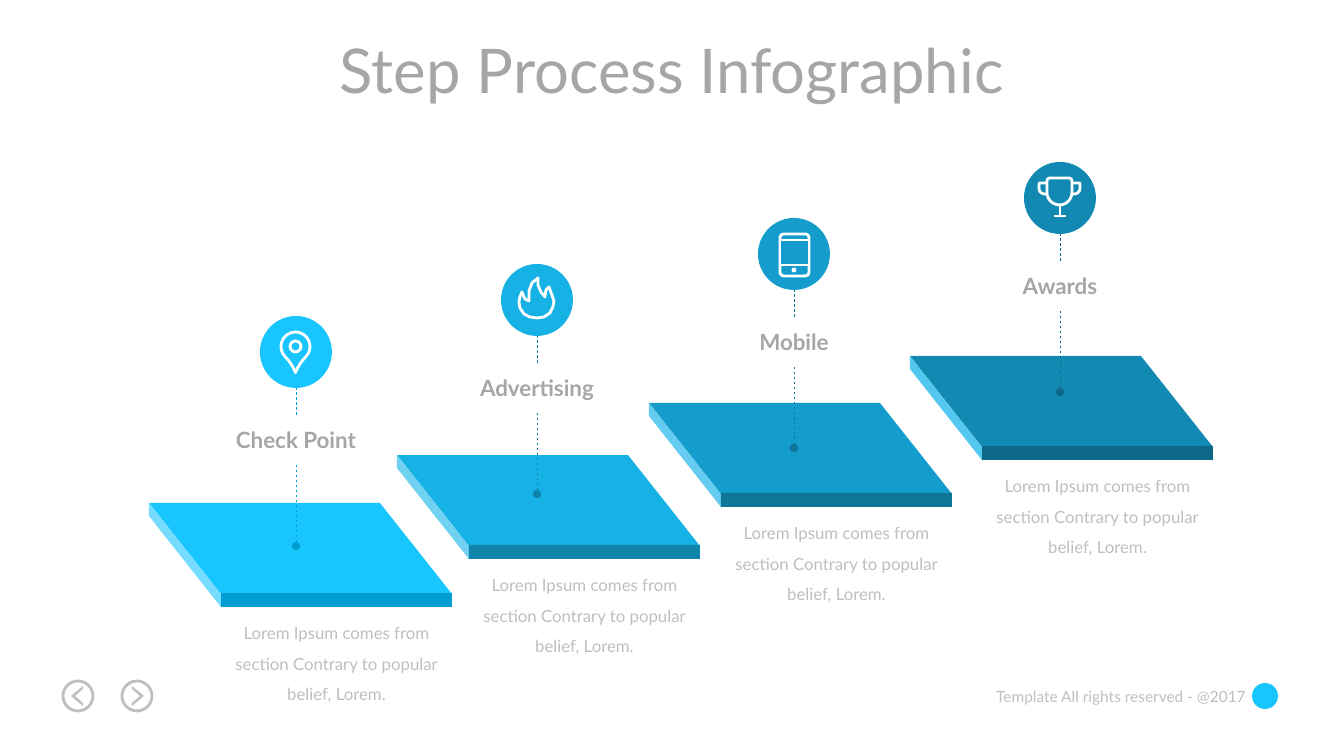
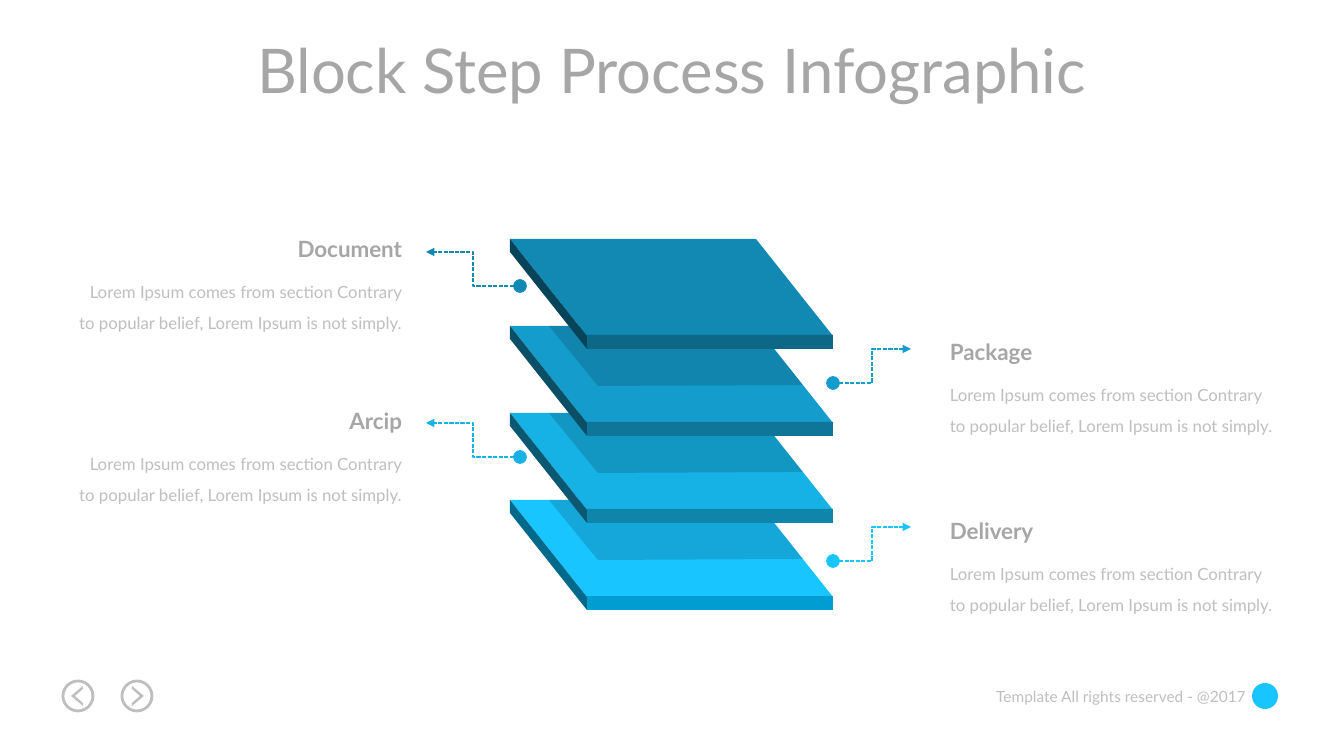
"""Builds two step-process infographic slides with a shared footer."""
from lxml import etree
from pptx import Presentation
from pptx import util as u
from pptx.dml.color import RGBColor
from pptx.enum import dml, shapes, text
from pptx.oxml.ns import qn

PX = 9071
WHITE, MUTED, ACCENT = "FFFFFF", "BFBFBF", "19C5FF"
FORM, ALIGN, DASH = shapes.MSO_SHAPE, text.PP_ALIGN, dml.MSO_LINE

TITLE = {"size": u.Pt(44), "bold": False, "color": "A6A6A6"}
HEADING = {"size": u.Pt(16), "bold": True, "color": "A6A6A6"}
BODY = {"size": u.Pt(12), "bold": False, "color": MUTED}
NOTICE = {"size": u.Pt(11), "bold": False, "color": MUTED}


def draw(page, form, x, y, fill, size=None, line=None):
    """Draws a preset of the given size, or a polygon of offsets from x, y."""
    if size:
        shape = page.shapes.add_shape(form, x * PX, y * PX, size[0] * PX, size[1] * PX)
    else:
        points = [(x + dx, y + dy) for dx, dy in form]
        builder = page.shapes.build_freeform(*points[0], scale=PX)
        builder.add_line_segments(points[1:], close=True)
        shape = builder.convert_to_shape()
    shape.shadow.inherit = False
    for part, colour in ((shape.fill, fill), (shape.line.fill, line)):
        if colour:
            part.solid()
            part.fore_color.rgb = RGBColor.from_string(colour)
        else:
            part.background()
    if line:
        shape.line.width = u.Pt(2)
    return shape


def write(page, words, x, y, width, height, style, align, spacing=None):
    """Writes one paragraph in a wrapping text box."""
    box = page.shapes.add_textbox(x * PX, y * PX, width * PX, height * PX)
    box.text_frame.word_wrap = True
    para = box.text_frame.paragraphs[0]
    para.alignment, para.line_spacing = align, spacing
    span = para.add_run()
    span.text = words
    span.font.name = "Lato"
    for name, value in style.items():
        if name == "color":
            span.font.color.rgb = RGBColor.from_string(value)
        else:
            setattr(span.font, name, value)
    return box


deck = Presentation()
deck.slide_width, deck.slide_height = 1344 * PX, 756 * PX
blank = deck.slide_layouts[6]
for holder in list(blank.placeholders):
    holder.element.getparent().remove(holder.element)
steps_page, blocks_page = [deck.slides.add_slide(blank) for _ in range(2)]

footer = [
    draw(steps_page, FORM.OVAL, 1252, 683, ACCENT, (26, 26)),
    write(steps_page, "Template All rights reserved - @2017", 972, 682, 284, 29, NOTICE, ALIGN.RIGHT),
]
CHEVRON = [(5, -7), (-3, 0), (5, 7), (5, 10), (-7, 0), (5, -10)]
for centre, side in ((78, 1), (137, -1)):
    arrow = [(side * dx, dy) for dx, dy in CHEVRON]
    footer += [
        draw(steps_page, FORM.OVAL, centre - 15, 681, None, (30, 30), MUTED),
        draw(steps_page, arrow, centre, 696, MUTED),
    ]
for shape in footer:
    blank.shapes.element.append(shape.element)

for page, title in ((steps_page, "Step Process Infographic"), (blocks_page, "Block Step Process Infographic")):
    write(page, title, 172, 27, 1000, 84, TITLE, ALIGN.CENTER)

TOPS = [ACCENT, "16B1E5", "149DCC", "1189B2"]
FRONTS = ["009DD2", "1085AC", "0F7699", "0D6786"]
STEP_SIDES = ["75DCFF", "71D1F1", "63CCF0", "52C7EF"]
BLOCK_SIDES = ["00698C", "0B5872", "0A4F66", "084459"]
STEP_SPOTS = [(149, 503), (397, 455), (649, 403), (910, 356)]
BLOCK_SPOTS = [(510, 500 - 87 * level) for level in range(4)]

for page, spots, sides, width, skew, depth in (
    (steps_page, STEP_SPOTS, STEP_SIDES, 231, 72, 91),
    (blocks_page, BLOCK_SPOTS, BLOCK_SIDES, 246, 77, 97),
):
    for (x, y), top, side, front in zip(spots, TOPS, sides, FRONTS):
        draw(page, [(0, 0), (width, 0), (width + skew, depth), (skew, depth)], x, y, top)
        draw(page, [(0, 0), (0, 13), (skew, depth + 13), (skew, depth)], x, y, side)
        draw(page, FORM.RECTANGLE, x + skew, y + depth - 1, front, (width, 14))
        if page is blocks_page and y > BLOCK_SPOTS[-1][1]:
            shade = draw(page, [(39, 0), (246, 0), (293, 59), (88, 60)], x, y, "000000")
            ink = shade.element.spPr.find(qn("a:solidFill"))[0]
            etree.SubElement(ink, qn("a:alpha"), val="15000")

FLAME = [
    (37, 14), (31, 19), (28, 27), (28, 37), (24, 35), (21, 28), (19, 33), (18, 38),
    (19, 44), (23, 50), (29, 53), (36, 54), (43, 53), (49, 49), (52, 43), (53, 37),
    (51, 31), (48, 23), (45, 26), (44, 33), (40, 28), (37, 21),
]
PIN_ICON = [(FORM.TEAR, 21, 16, (29, 29), [1.27], 135), (FORM.OVAL, 30, 25, (11, 11), [], 0)]
FLAME_ICON = [(FLAME, 0, 0, None, [], 0)]
PHONE_ICON = [
    (FORM.ROUNDED_RECTANGLE, 22, 16, (29, 42), [0.13], 0),
    (FORM.RECTANGLE, 22, 22, (29, 25), [], 0),
    (FORM.OVAL, 35, 51, (2, 2), [], 0),
]
CUP_ICON = [
    (FORM.ROUND_2_SAME_RECTANGLE, 15, 21, (41, 11), [0.1, 0.5], 0),
    (FORM.ROUND_2_SAME_RECTANGLE, 23, 16, (25, 27), [0.12, 0.5], 0),
]
steps = [
    ("Check Point", 260, 316, PIN_ICON),
    ("Advertising", 501, 264, FLAME_ICON),
    ("Mobile", 758, 218, PHONE_ICON),
    ("Awards", 1024, 162, CUP_ICON),
]
STRAIGHT, ELBOW = shapes.MSO_CONNECTOR.STRAIGHT, shapes.MSO_CONNECTOR.ELBOW
DOT = {"headEnd": {"type": "oval"}}
CALLOUT = {"headEnd": {"type": "oval", "w": "lg", "len": "lg"}, "tailEnd": {"type": "triangle"}}
lines = []

for (name, x, y, icon), (tile_x, tile_y), top, front in zip(steps, STEP_SPOTS, TOPS, FRONTS):
    draw(steps_page, FORM.OVAL, x, y, top, (72, 72))
    for form, dx, dy, size, bends, turn in icon:
        glyph = draw(steps_page, form, x + dx, y + dy, top, size, WHITE)
        glyph.rotation = turn
        for index, bend in enumerate(bends):
            glyph.adjustments[index] = bend
    middle = x + 36
    for start, end, ends in ((230, 148, DOT), (99, 72, {})):
        lines.append((steps_page, STRAIGHT, (middle, y + start, middle, y + end), front, 0.5, DASH.DASH, ends))
    write(steps_page, name, middle - 80, y + 105, 160, 37, HEADING, ALIGN.CENTER)
    write(steps_page, "Lorem Ipsum comes from section Contrary to popular belief, Lorem.",
          tile_x + 72, tile_y + 105, 231, 102, BODY, ALIGN.CENTER, 1.5)

for stroke in ((1060, 205, 1060, 216), (1054, 216, 1066, 216)):
    lines.append((steps_page, STRAIGHT, stroke, WHITE, 2, None, {}))

LEFT = (66, ALIGN.RIGHT, 520, 426)
RIGHT = (940, ALIGN.LEFT, 833, 911)
for name, y, (x, align, start, end), bend_y, colour in (
    ("Document", 230, LEFT, 286, TOPS[3]),
    ("Package", 333, RIGHT, 383, TOPS[2]),
    ("Arcip", 402, LEFT, 457, TOPS[1]),
    ("Delivery", 512, RIGHT, 561, TOPS[0]),
):
    write(blocks_page, name, x, y, 346, 37, HEADING, align)
    write(blocks_page, "Lorem Ipsum comes from section Contrary to popular belief, Lorem Ipsum is not simply.",
          x, y + 37, 346, 102, BODY, align, 1.5)
    lines.append((blocks_page, ELBOW, (start, bend_y, end, bend_y - 34), colour, 1, DASH.SQUARE_DOT, CALLOUT))

for page, kind, route, colour, weight, dash, ends in lines:
    link = page.shapes.add_connector(kind, *[place * PX for place in route])
    link.line.color.rgb = RGBColor.from_string(colour)
    link.line.width = u.Pt(weight)
    link.line.dash_style = dash
    outline = link.element.spPr.find(qn("a:ln"))
    for tag, look in ends.items():
        etree.SubElement(outline, qn("a:" + tag), look)
    etree.SubElement(link.element.spPr, qn("a:effectLst"))

deck.save("out.pptx")
